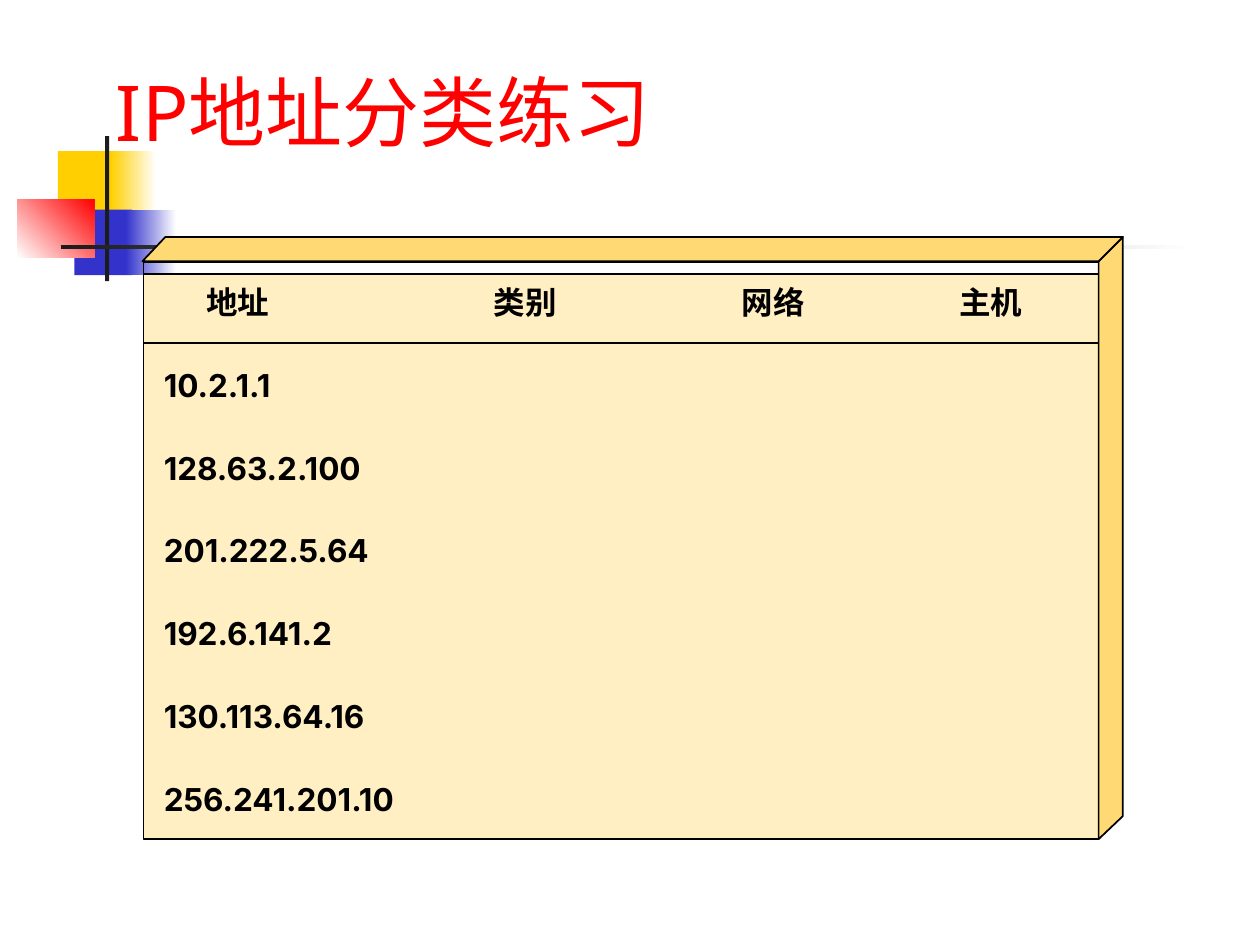
from dataclasses import dataclass

from lxml import etree
from pptx import Presentation
from pptx.dml.color import RGBColor
from pptx.enum import shapes, text
from pptx.oxml import ns
from pptx.util import Pt


@dataclass(frozen=True)
class Theme:
    yellow: str = "FFCF01"
    blue: str = "3333CC"
    red: str = "FF0000"
    dark: str = "1C1C1C"
    white: str = "FFFFFF"
    black: str = "000000"
    panel: str = "FFEFC2"
    edge: str = "FFDA74"
    title_font: str = "Noto Sans"
    body_font: str = "Inter"
    title_size: int = 44
    body_size: int = 18


theme = Theme()
presentation = Presentation()
presentation.slide_width, presentation.slide_height = Pt(720), Pt(540)
slide = presentation.slides.add_slide(presentation.slide_layouts[6])


def paint(shape, colors, angle=0, outlined=False):
    """Fill with no colour, one colour or a two-colour gradient."""
    shape.shadow.inherit = False
    if not colors:
        shape.fill.background()
    elif len(colors) == 1:
        shape.fill.solid()
        shape.fill.fore_color.rgb = RGBColor.from_string(colors[0])
    else:
        shape.fill.gradient()
        shape.fill.gradient_angle = angle
        for stop, color in zip(shape.fill.gradient_stops, colors):
            stop.color.rgb = RGBColor.from_string(color)
    if outlined:
        shape.line.color.rgb = RGBColor.from_string(theme.black)
        shape.line.width = Pt(1)
    else:
        shape.line.fill.background()


def add_label(words, box, margins, font_name, size, color, bold=False,
              align=text.PP_ALIGN.LEFT, anchor=text.MSO_ANCHOR.TOP, spacing=1.0):
    label = slide.shapes.add_textbox(*map(Pt, box))
    frame = label.text_frame
    frame.word_wrap = True
    frame.vertical_anchor = anchor
    frame.margin_left = frame.margin_right = Pt(margins[0])
    frame.margin_top = frame.margin_bottom = Pt(margins[1])
    paragraph = frame.paragraphs[0]
    paragraph.alignment = align
    paragraph.line_spacing = spacing
    run = paragraph.add_run()
    run.text = words
    run.font.name = font_name
    run.font.size = Pt(size)
    run.font.bold = bold
    run.font.color.rgb = RGBColor.from_string(color)
    return run


# Corner ornament, then the panel and its header outline
rectangles = [
    ((33.1, 86.4, 34.6, 37.4), [theme.yellow], 0, False),
    ((63.4, 86.4, 25.9, 37.4), [theme.yellow, theme.white], 0, False),
    ((42.5, 119.8, 33.1, 37.4), [theme.blue], 0, False),
    ((72, 119.8, 28.8, 37.4), [theme.blue, theme.white], 0, False),
    ((9.8, 113.8, 44.2, 33.4), [theme.white, theme.red], 45, False),
    ((60, 77.8, 2.4, 82.8), [theme.dark], 0, False),
    ((34.8, 140, 648, 2.5), [theme.dark, theme.white], 0, False),
    ((82, 156.4, 545.8, 322.9), [theme.panel], 0, True),
    ((82, 149.8, 545.8, 46.1), [], 0, True),
]
for box, colors, angle, outlined in rectangles:
    rectangle = slide.shapes.add_shape(shapes.MSO_SHAPE.RECTANGLE, *map(Pt, box))
    paint(rectangle, colors, angle, outlined)

title_run = add_label("IP地址分类练习", (59.8, 18, 626.4, 90), (6.5, 3.2),
                      theme.title_font, theme.title_size, theme.red,
                      anchor=text.MSO_ANCHOR.MIDDLE)
effects = etree.Element(ns.qn("a:effectLst"))
shadow = etree.SubElement(effects, ns.qn("a:outerShdw"),
                          dist="35921", dir="2700000", algn="ctr")
etree.SubElement(shadow, ns.qn("a:srgbClr"), val=theme.dark)
title_run.font.fill  # the shadow follows the text fill
title_run._r.rPr.find(ns.qn("a:solidFill")).addnext(effects)

# Right and top faces of the raised panel
faces = [
    [(641.6, 135.4), (627.8, 149.3), (627.8, 479.5), (641.6, 466.4)],
    [(81.4, 149.3), (94.5, 135.4), (641.6, 135.4), (627.8, 149.3)],
]
for face in faces:
    start, *corners = [(Pt(x), Pt(y)) for x, y in face]
    builder = slide.shapes.build_freeform(*start)
    builder.add_line_segments(corners, close=True)
    paint(builder.convert_to_shape(), [theme.edge], outlined=True)

headers = [("地址", 78.5, 114.5), ("类别", 235.4, 129.6),
           ("网络", 383.8, 115.9), ("主机", 498.2, 136.1)]
for words, left, width in headers:
    add_label(words, (left, 159.1, width, 28.8), (7.9, 4.3),
              theme.body_font, theme.body_size, theme.black, bold=True,
              align=text.PP_ALIGN.CENTER, spacing=0.95)

addresses = ["10.2.1.1", "128.63.2.100", "201.222.5.64",
             "192.6.141.2", "130.113.64.16", "256.241.201.10"]
first_top, row_pitch = 206.5, 47.25
for row, address in enumerate(addresses):
    add_label(address, (85.7, first_top + row * row_pitch, 151.2, 28.8), (7.9, 4.3),
              theme.body_font, theme.body_size, theme.black, bold=True, spacing=0.95)

presentation.save("out.pptx")
